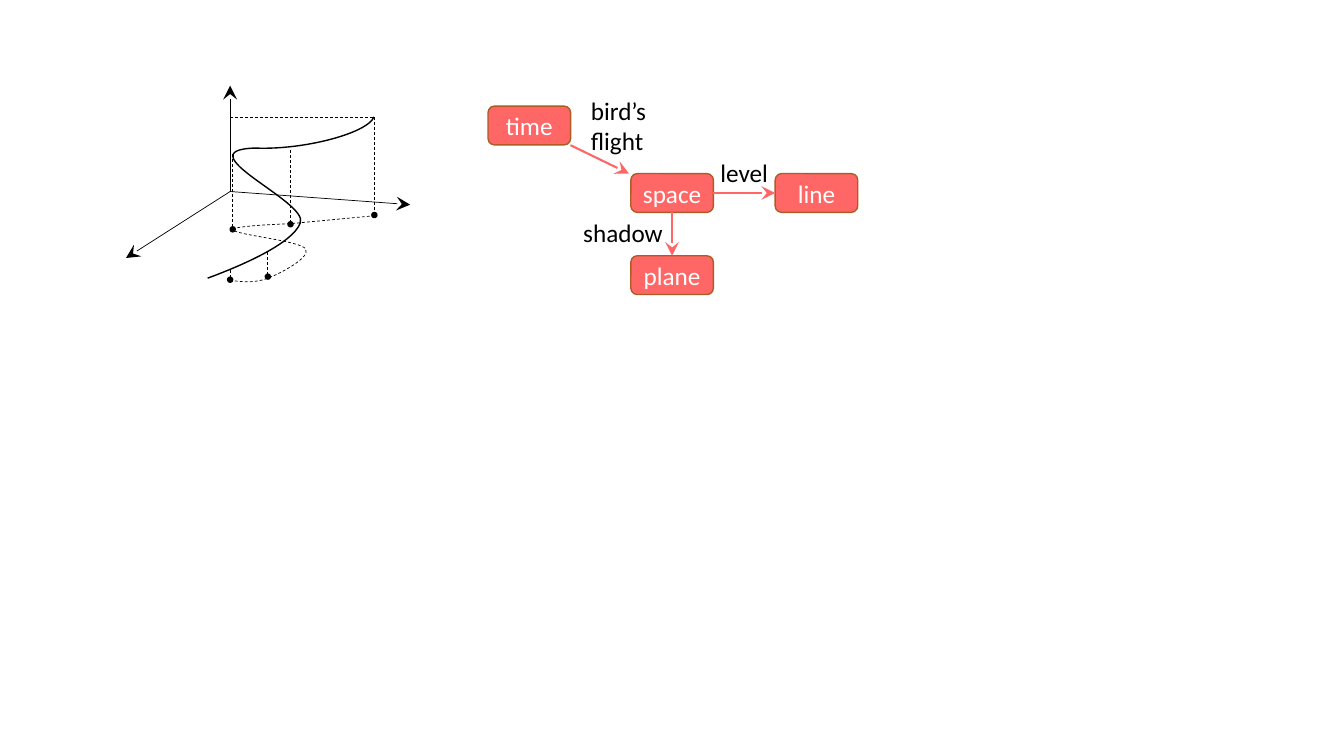
from dataclasses import dataclass

from lxml.etree import SubElement
from pptx import Presentation
from pptx.dml.color import RGBColor
from pptx.enum.dml import MSO_LINE
from pptx.enum.shapes import MSO_CONNECTOR, MSO_SHAPE
from pptx.enum.text import MSO_ANCHOR, PP_ALIGN
from pptx.oxml.ns import qn
from pptx.shapes.autoshape import Shape
from pptx.shapes.connector import Connector
from pptx.shapes.shapetree import GroupShapes, SlideShapes
from pptx.util import Pt

Point = tuple[float, float]
Shapes = SlideShapes | GroupShapes

BLACK, WHITE, CORAL, BROWN = "000000", "FFFFFF", "FF6666", "AF5C24"
BOX_WIDTH, BOX_HEIGHT = 59, 27.7
DOT_SIZE = 3.6
TOP, LEFT, BOTTOM, RIGHT = range(4)


@dataclass
class Concept:
    text: str
    left: float
    top: float


@dataclass
class Label:
    text: str
    left: float
    top: float
    width: float
    height: float


@dataclass
class Drop:
    """A vertical from the flight down to its dot on the ground."""
    x: float
    top: float
    foot: float


ORIGIN = (164.4, 136.8)
AXIS_TIPS = [(90, 184.3), (293, 146.2), (164.4, 61.2)]
FLIGHT_END = (267.1, 83.5)

DROPS = [
    Drop(164.4, 193, 199.8),
    Drop(191.3, 180, 197.6),
    Drop(207.5, 107.3, 160.2),
    Drop(166.2, 110.2, 163.8),
    Drop(267.4, 83.5, 153.6),
]

# A piece is a straight line's end, or two control points and a curve's end.
FLIGHT_START = (148.3, 198.7)
FLIGHT = [
    [(167.8, 191.5), (208.8, 175), (214.6, 159.1)],
    [(220.3, 144), (131, 107.3), (182.2, 105.8)],
    [(217.4, 107.3), (262.8, 95), FLIGHT_END],
]
SHADOW_START = (164.2, 200.2)
SHADOW = [
    [(173.5, 201.6), (182.2, 202.3), (191.5, 198.7)],
    [(200.9, 195.1), (222.5, 183.6), (218.2, 177.8)],
    [(214.6, 172.1), (168.5, 167.8), (166.3, 164.2)],
    [(164.9, 161.3), (207.4, 159.8), (207.4, 159.8)],
    [(267.8, 154.1)],
]

CONCEPTS = [
    Concept("time", 348.6, 75.8),
    Concept("space", 450.6, 124),
    Concept("line", 553.7, 124),
    Concept("plane", 450.6, 182.7),
]
LABELS = [
    Label("bird’s flight", 415, 64.4, 67.7, 51.1),
    Label("level", 507.5, 109.1, 67.7, 28.8),
    Label("shadow", 409.5, 151.9, 73.4, 28.8),
]


def color(value: str) -> RGBColor:
    return RGBColor.from_string(value)


def write(shape: Shape, text: str, *, font_color: str = BLACK,
          align: PP_ALIGN = PP_ALIGN.LEFT,
          anchor: MSO_ANCHOR = MSO_ANCHOR.TOP) -> None:
    frame = shape.text_frame
    frame.word_wrap = True
    frame.vertical_anchor = anchor
    para = frame.paragraphs[0]
    para.alignment = align
    span = para.add_run()
    span.text = text
    span.font.name = "Calibri"
    span.font.size = Pt(18)
    span.font.color.rgb = color(font_color)


def style_line(item: Shape | Connector, line_color: str, width: float,
               dashed: bool = False) -> None:
    item.line.color.rgb = color(line_color)
    item.line.width = Pt(width)
    if dashed:
        item.line.dash_style = MSO_LINE.DASH


def add_line(shapes: Shapes, start: Point, end: Point, *,
             line_color: str = BLACK, width: float = 0.5,
             dashed: bool = False, arrow: bool = False) -> Connector:
    line = shapes.add_connector(
        MSO_CONNECTOR.STRAIGHT, *map(Pt, start), *map(Pt, end))
    style_line(line, line_color, width, dashed)
    if arrow:
        SubElement(line.line._get_or_add_ln(), qn("a:tailEnd"),
                   type="stealth", w="lg", len="lg")
    SubElement(line._element.spPr, qn("a:effectLst"))
    return line


def add_solid(shapes: Shapes, kind: MSO_SHAPE, left: float, top: float,
              width: float, height: float, fill: str, outline: str) -> Shape:
    shape = shapes.add_shape(kind, Pt(left), Pt(top), Pt(width), Pt(height))
    shape.shadow.inherit = False
    shape.fill.solid()
    shape.fill.fore_color.rgb = color(fill)
    style_line(shape, outline, 1)
    return shape


def add_curve(shapes: Shapes, start: Point, pieces: list[list[Point]],
              width: float, dashed: bool = False) -> None:
    """Outline the end points, then bend each segment with its controls."""
    builder = shapes.build_freeform(*map(Pt, start))
    builder.add_line_segments(
        [(Pt(x), Pt(y)) for *_, (x, y) in pieces], close=False)
    curve = builder.convert_to_shape()
    segments = list(curve._element.iter(qn("a:lnTo")))
    for segment, (*controls, _) in zip(segments, pieces):
        if not controls:
            continue
        segment.tag = qn("a:cubicBezTo")
        for index, (x, y) in enumerate(controls):
            control = SubElement(segment, qn("a:pt"),
                                 x=str(Pt(x) - curve.left),
                                 y=str(Pt(y) - curve.top))
            segment.insert(index, control)
    curve.shadow.inherit = False
    curve.fill.background()
    style_line(curve, BLACK, width, dashed)


def draw_flight(shapes: Shapes) -> None:
    for tip in AXIS_TIPS:
        add_line(shapes, ORIGIN, tip, arrow=True)
    add_curve(shapes, FLIGHT_START, FLIGHT, 1)
    for drop in DROPS:
        add_line(shapes, (drop.x, drop.top), (drop.x, drop.foot), dashed=True)
        add_solid(shapes, MSO_SHAPE.OVAL, drop.x - DOT_SIZE / 2,
                  drop.foot - DOT_SIZE / 2, DOT_SIZE, DOT_SIZE, BLACK, BLACK)
    add_curve(shapes, SHADOW_START, SHADOW, 0.5, dashed=True)


def draw_concepts(shapes: Shapes) -> None:
    boxes = {}
    for concept in CONCEPTS:
        box = add_solid(shapes, MSO_SHAPE.ROUNDED_RECTANGLE, concept.left,
                        concept.top, BOX_WIDTH, BOX_HEIGHT, CORAL, BROWN)
        box.text_frame.margin_left = box.text_frame.margin_right = 0
        write(box, concept.text, font_color=WHITE, align=PP_ALIGN.CENTER,
              anchor=MSO_ANCHOR.MIDDLE)
        boxes[concept.text] = box

    arrow_style = dict(line_color=CORAL, width=1.5, arrow=True)
    add_line(shapes, (407.5, 103.7), (449.3, 124), **arrow_style)
    for target, begin_side, end_side in [("plane", BOTTOM, TOP),
                                         ("line", RIGHT, LEFT)]:
        arrow = add_line(shapes, (0, 0), (0, 0), **arrow_style)
        arrow.begin_connect(boxes["space"], begin_side)
        arrow.end_connect(boxes[target], end_side)

    for label in LABELS:
        box = shapes.add_textbox(Pt(label.left), Pt(label.top),
                                 Pt(label.width), Pt(label.height))
        write(box, label.text)


def main() -> None:
    deck = Presentation()
    deck.slide_width, deck.slide_height = Pt(960), Pt(540)
    page = deck.slides.add_slide(deck.slide_layouts[6])
    draw_flight(page.shapes.add_group_shape().shapes)
    add_line(page.shapes, (ORIGIN[0], FLIGHT_END[1]), FLIGHT_END, dashed=True)
    draw_concepts(page.shapes)
    deck.save("out.pptx")


if __name__ == "__main__":
    main()
